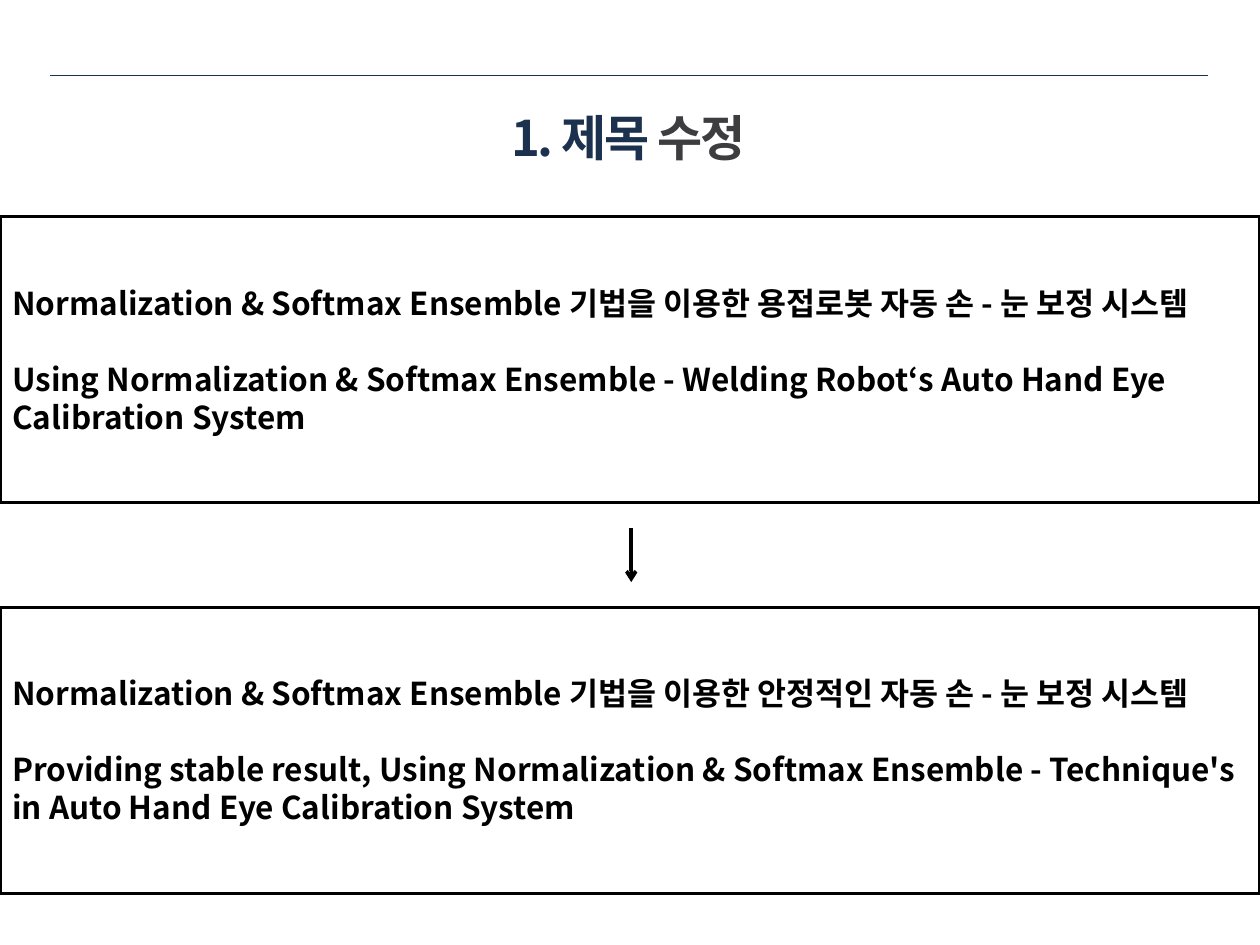
from lxml import etree
from pptx import Presentation
from pptx.dml.color import RGBColor
from pptx.enum.shapes import MSO_CONNECTOR, MSO_SHAPE
from pptx.enum.text import MSO_ANCHOR, PP_ALIGN
from pptx.oxml.ns import qn
from pptx.util import Pt

FONT = "Noto Sans CJK KR"
COLORS = {"navy": "1C314E", "gray": "3D3C3E", "black": "000000"}
TITLE = [("1. 제목", "navy"), (" 수정", "gray")]
VERSIONS = [
    ["Normalization & Softmax Ensemble 기법을 이용한 용접로봇 자동 손 - 눈 보정 시스템",
     "Using Normalization & Softmax Ensemble - Welding Robot‘s Auto Hand Eye "
     "Calibration System"],
    ["Normalization & Softmax Ensemble 기법을 이용한 안정적인 자동 손 - 눈 보정 시스템",
     "Providing stable result, Using Normalization & Softmax Ensemble - Technique's "
     "in Auto Hand Eye Calibration System"],
]
WIDTH, HEIGHT = 720, 540
BOX_TOP, BOX_HEIGHT, BOX_GAP = 123.84, 163.44, 59.76
ARROW_X, ARROW_LENGTH = 360.72, 30.96
LEADING = 21.7


def color(name):
    return RGBColor.from_string(COLORS[name])


def add_text(p, text, size=18, fill="black", spacing=None):
    r = p.add_run()
    r.text = text
    r.font.name, r.font.size, r.font.bold = FONT, Pt(size), True
    r.font.color.rgb = color(fill)
    rPr = r.font._element
    etree.SubElement(rPr, qn("a:ea"), typeface=FONT)
    if spacing is not None:
        rPr.set("spc", str(round(spacing * 100)))


def add_line(s, x1, y1, x2, y2, fill, width, arrow=False):
    line = s.shapes.add_connector(MSO_CONNECTOR.STRAIGHT, Pt(x1), Pt(y1), Pt(x2), Pt(y2))
    line.line.color.rgb = color(fill)
    line.line.width = Pt(width)
    if arrow:
        etree.SubElement(line.line._get_or_add_ln(), qn("a:tailEnd"), type="arrow")
    etree.SubElement(line._element.spPr, qn("a:effectLst"))


def add_title(s):
    tf = s.shapes.add_textbox(Pt(20.16), Pt(55.44), Pt(677.52), Pt(46.08)).text_frame
    tf.word_wrap = True
    tf.vertical_anchor = MSO_ANCHOR.MIDDLE
    p = tf.paragraphs[0]
    p.alignment = PP_ALIGN.CENTER
    for text, fill in TITLE:
        add_text(p, text, size=28, fill=fill, spacing=-1.5)


def add_version_box(s, top, lines):
    sp = s.shapes.add_shape(MSO_SHAPE.RECTANGLE, 0, Pt(top), Pt(WIDTH), Pt(BOX_HEIGHT))
    sp.shadow.inherit = False
    sp.fill.background()
    sp.line.color.rgb = color("black")
    sp.line.width = Pt(2)
    tf = sp.text_frame
    tf.word_wrap = True
    tf.vertical_anchor = MSO_ANCHOR.MIDDLE
    for i, text in enumerate(lines):
        p = tf.add_paragraph() if i else tf.paragraphs[0]
        p.alignment = PP_ALIGN.LEFT
        p.line_spacing = Pt(LEADING)
        p.space_before = Pt(LEADING if i else 0)
        add_text(p, text)


prs = Presentation()
prs.slide_width, prs.slide_height = Pt(WIDTH), Pt(HEIGHT)
s = prs.slides.add_slide(prs.slide_layouts[6])

add_line(s, 28.8, 43.2, 690.48, 43.2, "navy", 0.25)
add_title(s)
for i, lines in enumerate(VERSIONS):
    add_version_box(s, BOX_TOP + i * (BOX_HEIGHT + BOX_GAP), lines)
arrow_top = BOX_TOP + BOX_HEIGHT + (BOX_GAP - ARROW_LENGTH) / 2
add_line(s, ARROW_X, arrow_top, ARROW_X, arrow_top + ARROW_LENGTH, "black", 2, arrow=True)

prs.save("out.pptx")
